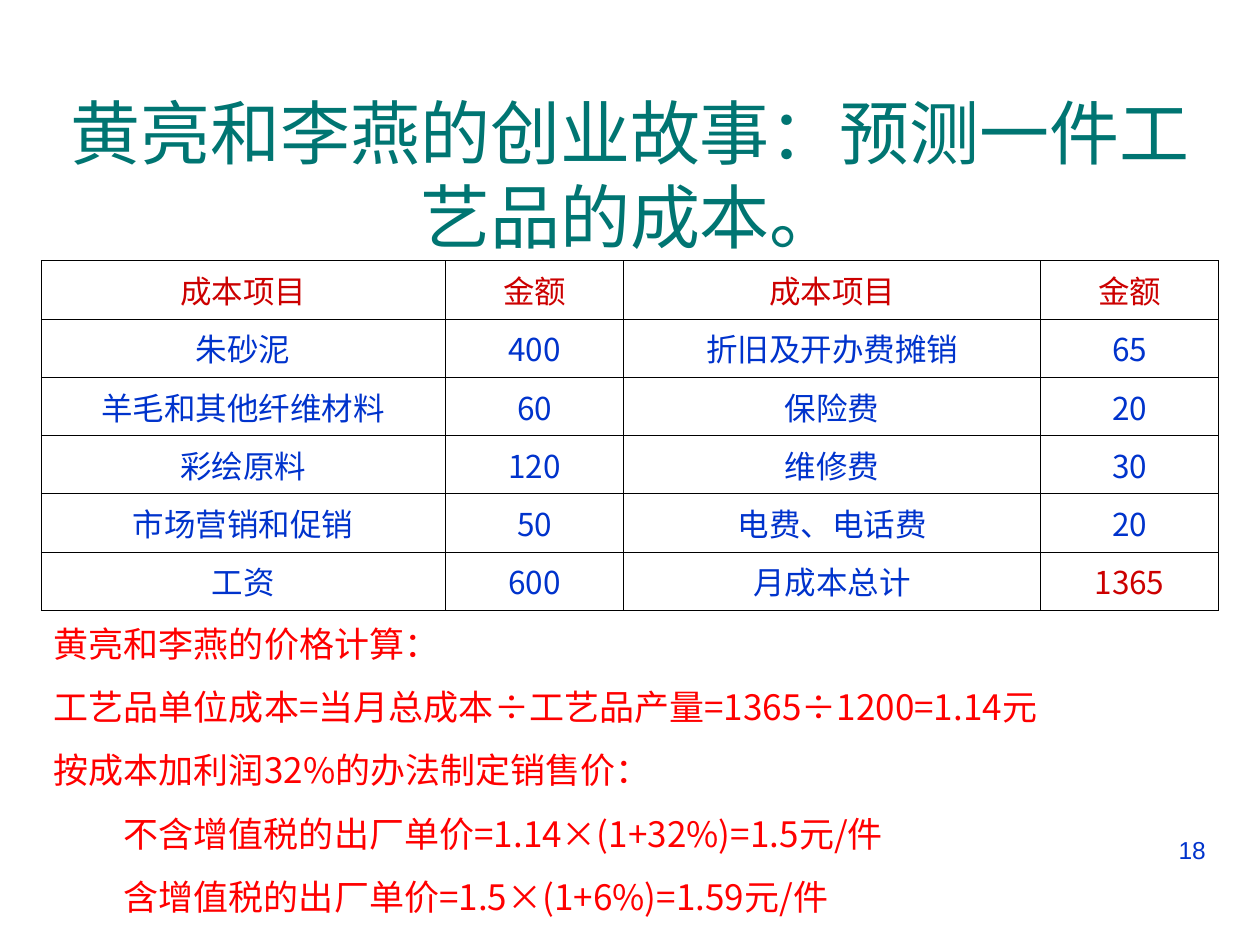
from dataclasses import dataclass

from lxml import etree
from pptx import Presentation
from pptx.dml.color import RGBColor
from pptx.enum import text
from pptx.oxml import ns
from pptx.util import Pt

CJK = "Noto Sans CJK SC"
TEAL, BLUE, CRIMSON, RED = "007572", "0033CC", "CC0000", "FF0000"
HANGING = 27
INDENT_STEP = 40  # two characters at 20 pt
CENTER, LEFT, RIGHT = text.PP_ALIGN.CENTER, text.PP_ALIGN.LEFT, text.PP_ALIGN.RIGHT

COLUMN_WIDTHS = [231, 102, 238, 102]
COST_ROW_HEIGHT, PRICE_ROW_HEIGHT = 33.3, 36.2
COSTS = [
    ("成本项目", "金额", "成本项目", "金额"),
    ("朱砂泥", "400", "折旧及开办费摊销", "65"),
    ("羊毛和其他纤维材料", "60", "保险费", "20"),
    ("彩绘原料", "120", "维修费", "30"),
    ("市场营销和促销", "50", "电费、电话费", "20"),
    ("工资", "600", "月成本总计", "1365"),
]


@dataclass
class Label:
    content: str
    left: float
    top: float
    width: float
    height: float
    size: float
    color: str
    align: text.PP_ALIGN
    anchor: text.MSO_ANCHOR


@dataclass
class PriceLine:
    content: str
    level: int = 0


LABELS = [
    Label("黄亮和李燕的创业故事：预测一件工艺品的成本。", 23.8, 54, 672.5, 90,
          40, TEAL, CENTER, text.MSO_ANCHOR.MIDDLE),
    Label("18", 516.2, 473.8, 180, 37.4, 14, BLUE, RIGHT, text.MSO_ANCHOR.TOP),
]
PRICE_LINES = [
    PriceLine("黄亮和李燕的价格计算："),
    PriceLine("工艺品单位成本=当月总成本÷工艺品产量=1365÷1200=1.14元"),
    PriceLine("按成本加利润32%的办法制定销售价："),
    PriceLine("不含增值税的出厂单价=1.14×(1+32%)=1.5元/件", 1),
    PriceLine("含增值税的出厂单价=1.5×(1+6%)=1.59元/件", 1),
]
ROW_HEIGHTS = [COST_ROW_HEIGHT] * len(COSTS) + [PRICE_ROW_HEIGHT] * len(PRICE_LINES)


def rgb(value: str) -> RGBColor:
    return RGBColor.from_string(value)


def write(paragraph, content: str, font_name: str, size: float, color: str, align) -> None:
    paragraph.alignment = align
    run = paragraph.add_run()
    run.text = content
    for key, value in {"name": font_name, "size": Pt(size), "bold": False}.items():
        setattr(run.font, key, value)
    run.font.color.rgb = rgb(color)
    etree.SubElement(run.font._element, ns.qn("a:ea"), typeface=font_name)


def add_label(slide, label: Label) -> None:
    box = slide.shapes.add_textbox(
        Pt(label.left), Pt(label.top), Pt(label.width), Pt(label.height))
    frame = box.text_frame
    for key, value in {"word_wrap": True, "vertical_anchor": label.anchor}.items():
        setattr(frame, key, value)
    write(frame.paragraphs[0], label.content, "Arial", label.size, label.color, label.align)


def set_borders(cell, visible: str) -> None:
    """Draw the sides named in visible (L, R, T, B) and hide the others."""
    properties = cell._tc.get_or_add_tcPr()
    for side in "LRTB":
        line = etree.SubElement(properties, ns.qn(f"a:ln{side}"), w=str(Pt(0.45)))
        if side in visible:
            fill = etree.SubElement(line, ns.qn("a:solidFill"))
            etree.SubElement(fill, ns.qn("a:srgbClr"), val="000000")
        else:
            etree.SubElement(line, ns.qn("a:noFill"))


def format_cell(cell, visible: str) -> None:
    set_borders(cell, visible)
    cell.fill.background()
    cell.vertical_anchor = text.MSO_ANCHOR.MIDDLE


def fill_cell(cell, content: str, size: float, color: str, align, level: int = 0) -> None:
    paragraph = cell.text_frame.paragraphs[0]
    properties = paragraph._p.get_or_add_pPr()
    properties.set("marL", str(Pt(HANGING + level * INDENT_STEP)))
    properties.set("indent", str(Pt(-HANGING)))
    write(paragraph, content, CJK, size, color, align)


def add_cost_table(slide) -> None:
    table = slide.shapes.add_table(
        len(ROW_HEIGHTS), len(COLUMN_WIDTHS), Pt(23.5), Pt(149),
        Pt(sum(COLUMN_WIDTHS)), Pt(sum(ROW_HEIGHTS))).table
    for key in ("first_row", "horz_banding"):
        setattr(table, key, False)
    for column, width in zip(table.columns, COLUMN_WIDTHS):
        column.width = Pt(width)
    for row, height in zip(table.rows, ROW_HEIGHTS):
        row.height = Pt(height)

    # Cost grid
    for r, row in enumerate(COSTS):
        for c, content in enumerate(row):
            cell = table.cell(r, c)
            format_cell(cell, "LRTB")
            highlighted = r == 0 or content == "1365"
            fill_cell(cell, content, 18, CRIMSON if highlighted else BLUE, CENTER)

    # Price calculation, one merged row per line
    last = len(COLUMN_WIDTHS) - 1
    for r, line in enumerate(PRICE_LINES, start=len(COSTS)):
        for c in range(last + 1):
            format_cell(table.cell(r, c), "T" if r == len(COSTS) else "")
        table.cell(r, 0).merge(table.cell(r, last))
        fill_cell(table.cell(r, 0), line.content, 20, RED, LEFT, line.level)


def main() -> None:
    deck = Presentation()
    deck.slide_width, deck.slide_height = Pt(720), Pt(540)
    slide = deck.slides.add_slide(deck.slide_layouts[6])
    title, page_number = LABELS
    add_label(slide, title)
    add_cost_table(slide)
    add_label(slide, page_number)
    deck.save("out.pptx")


if __name__ == "__main__":
    main()
